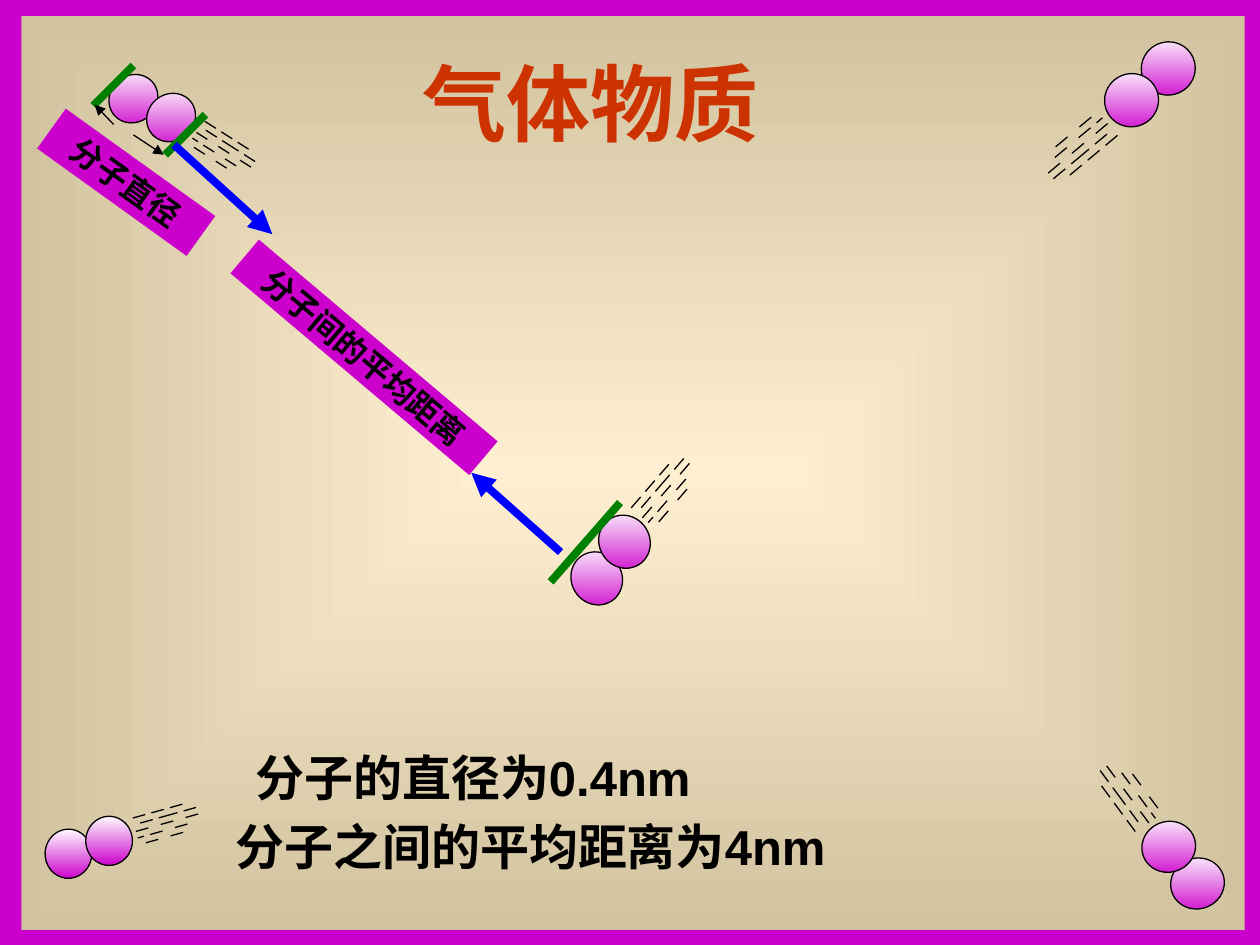
"""Build a slide on gas molecules, their diameter and their average distance."""
from lxml import etree
from pptx import Presentation
from pptx.dml.color import RGBColor
from pptx.enum.shapes import MSO_CONNECTOR, MSO_SHAPE
from pptx.enum.text import MSO_ANCHOR, PP_ALIGN
from pptx.oxml.ns import qn
from pptx.util import Cm, Pt

STRAIGHT = MSO_CONNECTOR.STRAIGHT
OVAL, RECTANGLE = MSO_SHAPE.OVAL, MSO_SHAPE.RECTANGLE
MIDDLE, CENTER = MSO_ANCHOR.MIDDLE, PP_ALIGN.CENTER
PURPLE, BLACK, GREEN, BLUE = "CC00CC", "000000", "008000", "0000FF"
rgb = RGBColor.from_string


def draw_line(shapes, start, end, color=BLACK, width=0.75, arrow=False):
    line = shapes.add_connector(STRAIGHT, *map(Cm, start + end))
    line.line.color.rgb = rgb(color)
    line.line.width = Pt(width)
    properties = line._element.spPr
    if arrow:
        etree.SubElement(properties.find(qn("a:ln")), qn("a:tailEnd"), type="triangle")
    etree.SubElement(properties, qn("a:effectLst"))


def fill_gradient(shape, first, last):
    shape.shadow.inherit = False
    shape.fill.gradient()
    shape.fill.gradient_angle = 270
    for stop, color in zip(shape.fill.gradient_stops, (first, last)):
        stop.color.rgb = rgb(color)
    gradient = shape._element.spPr.find(qn("a:gradFill"))
    gradient.set("rotWithShape", "0")
    return gradient


prs = Presentation()
prs.slide_width, prs.slide_height = Cm(25.4), Cm(19.05)
slide = prs.slides.add_slide(prs.slide_layouts[5])
slide.background.fill.solid()
slide.background.fill.fore_color.rgb = rgb(PURPLE)

panel = slide.shapes.add_shape(RECTANGLE, Cm(0.43), Cm(0.33), Cm(24.66), Cm(18.42))
panel.line.fill.background()
glow = fill_gradient(panel, "FFEFD1", "D1C39F")
glow.remove(glow.find(qn("a:lin")))
glow_path = etree.SubElement(glow, qn("a:path"), path="rect")
etree.SubElement(glow_path, qn("a:fillToRect"), l="50000", t="50000", r="50000", b="50000")
slide.shapes._spTree.insert(2, panel._element)

title = slide.shapes.title
title.left, title.top, title.width, title.height = Cm(7.9), Cm(0.91), Cm(8), Cm(2.29)
title.text_frame.text = "气体物质"
title.text_frame.vertical_anchor = MIDDLE
heading = title.text_frame.paragraphs[0]
heading.alignment = CENTER
heading.font.name, heading.font.size, heading.font.bold = "Times New Roman", Pt(48), True
heading.font.color.rgb = rgb("CC3300")

# Streak rows: (offset across the trail, [(offset along the trail, length), ...])
streak_rows = [
    (-1, [(0.55, 1), (2.05, 1), (3.55, 1)]),
    (-0.5, [(0.75, 1), (2.25, 1.5), (4.25, 1)]),
    (0, [(0, 1), (2, 1), (4, 1)]),
    (0.5, [(-0.25, 0.5), (0.75, 1), (2.75, 1)]),
    (1, [(0, 1), (2, 1)]),
]
molecules = [
    ([(1.38, 17.21), (2.2, 16.95)], (0.99, 0.94), 271.4, (2.74, 16.76), (0.25, -0.07), (0.2, 0.23)),
    ([(12.03, 11.66), (12.59, 10.92)], (1.09, 1.02), 236.9, (12.95, 10.44), (0.19, -0.22), (0.33, 0.08)),
    ([(23.55, 1.38), (22.81, 2.02)], (1.07, 1.09), 67, (22.33, 2.49), (-0.24, 0.2), (-0.33, -0.13)),
    ([(2.69, 1.99), (3.45, 2.37)], (1.02, 0.94), 318.3, (3.96, 2.67), (0.22, 0.14), (-0.05, 0.3)),
    ([(24.14, 17.81), (23.56, 17.07)], (1.09, 1.02), 160.6, (23.16, 16.59), (-0.17, -0.23), (0.18, -0.3)),
]
for atom_centers, (width, height), rotation, origin, along, across in molecules:
    molecule = slide.shapes.add_group_shape().shapes
    for x, y in atom_centers:
        atom = molecule.add_shape(OVAL, Cm(x - width / 2), Cm(y - height / 2), Cm(width), Cm(height))
        atom.rotation = rotation
        fill_gradient(atom, "FFFFFF", PURPLE)
        atom.line.color.rgb = rgb(BLACK)
        atom.line.width = Pt(0.75)
    for row, streaks in streak_rows:
        for offset, length in streaks:
            start, end = (
                tuple(o + step * a + row * c for o, a, c in zip(origin, along, across))
                for step in (offset, offset + length)
            )
            draw_line(molecule, start, end)

for start, end, color, width, arrow in [
    ((2.69, 1.32), (1.88, 2.13), GREEN, 4.5, False),
    ((4.14, 2.31), (3.33, 3.12), GREEN, 4.5, False),
    ((12.5, 10.13), (11.1, 11.73), GREEN, 4.5, False),
    ((2.29, 2.51), (1.91, 2.11), BLACK, 0.75, True),
    ((2.69, 2.72), (3.3, 3.12), BLACK, 0.75, True),
    ((3.51, 2.92), (5.49, 4.72), BLUE, 4.5, True),
    ((11.3, 11.13), (9.5, 9.53), BLUE, 4.5, True),
]:
    draw_line(slide.shapes, start, end, color, width, arrow)

for wording, bounds, rotation in [
    ("分子直径", (0.69, 3.18, 3.71, 0.99), 35.7),
    ("分子间的平均距离", (4.19, 6.76, 6.3, 0.89), 40.2),
]:
    label = slide.shapes.add_shape(RECTANGLE, *map(Cm, bounds))
    label.rotation = rotation
    label.shadow.inherit = False
    label.fill.solid()
    label.fill.fore_color.rgb = rgb(PURPLE)
    label.line.fill.background()
    label.text_frame.text = wording
    label.text_frame.word_wrap = False
    label.text_frame.vertical_anchor = MIDDLE
    caption = label.text_frame.paragraphs[0]
    caption.alignment = CENTER
    caption.font.name, caption.font.size, caption.font.bold = "Arial", Pt(18), True
    caption.font.color.rgb = rgb(BLACK)

for wording, bounds in [
    ("分子的直径为0.4nm", (4.9, 14.94, 11.4, 1.45)),
    ("分子之间的平均距离为4nm", (4.5, 16.33, 14.2, 1.45)),
]:
    fact = slide.shapes.add_textbox(*map(Cm, bounds)).text_frame
    fact.word_wrap = True
    fact.text = wording
    statement = fact.paragraphs[0]
    statement.font.name, statement.font.size, statement.font.bold = "Arial", Pt(28), True
    statement.font.color.rgb = rgb(BLACK)

prs.save("out.pptx")
